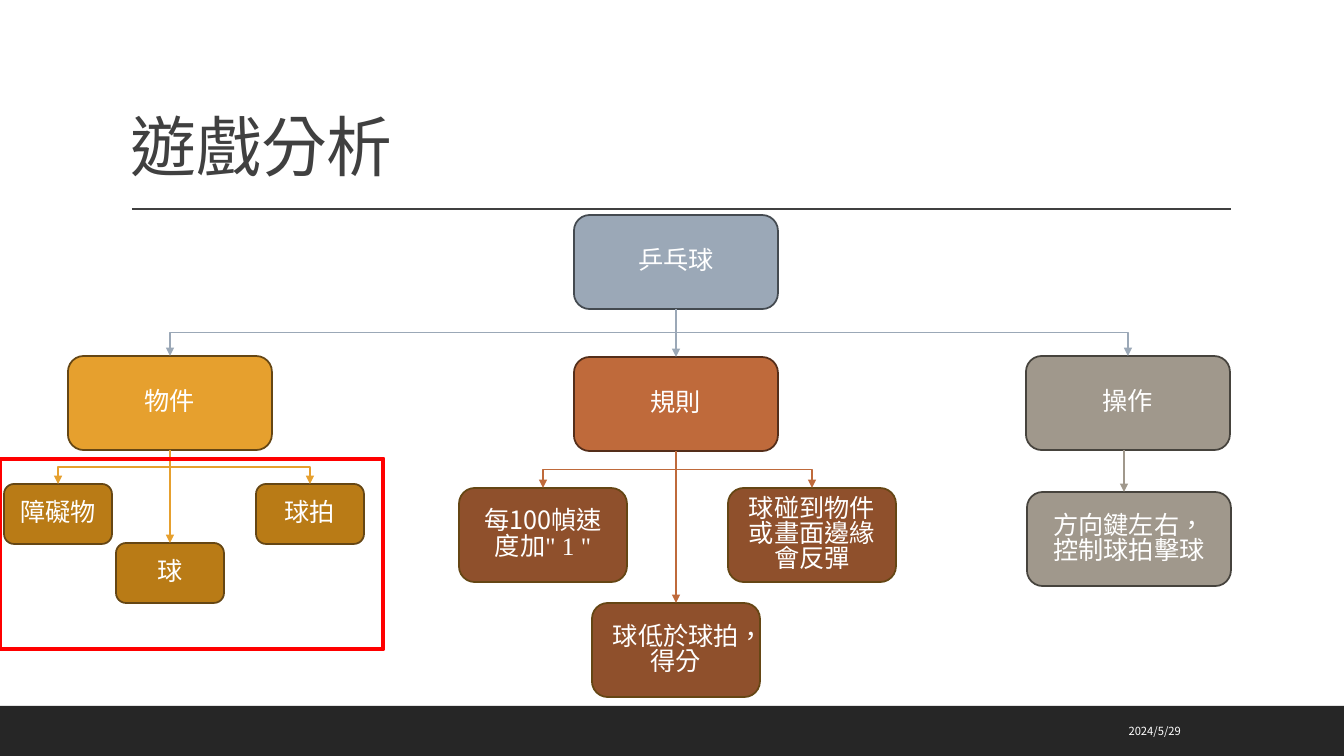
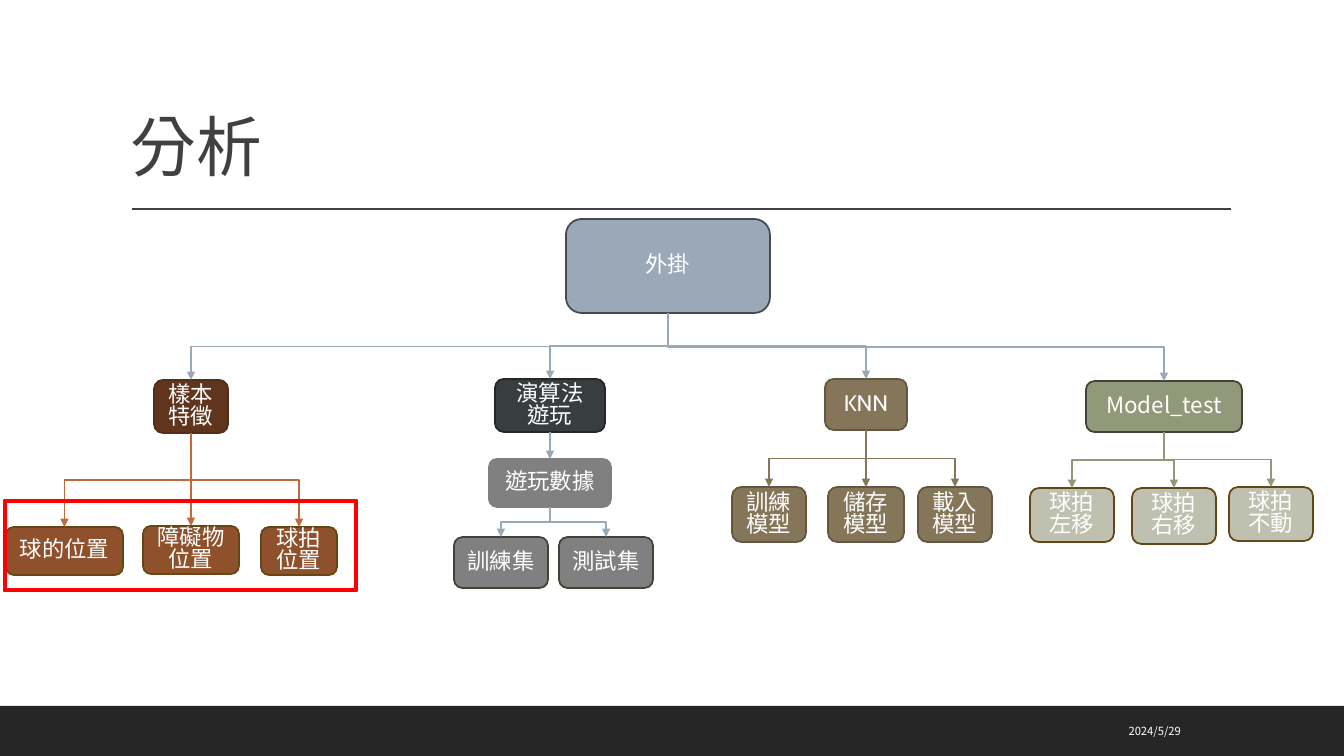
"""Build two slides of tree diagrams that analyse a ball game and its add-on."""
from dataclasses import dataclass
from typing import NamedTuple, Optional

from lxml import etree
from pptx import Presentation
from pptx.dml.color import RGBColor
from pptx.enum.shapes import MSO_CONNECTOR, MSO_SHAPE
from pptx.enum.text import MSO_ANCHOR, PP_ALIGN
from pptx.oxml.ns import qn
from pptx.shapes.autoshape import Shape
from pptx.shapes.connector import Connector
from pptx.slide import Slide
from pptx.util import Emu, Pt

RECTANGLE = MSO_SHAPE.RECTANGLE
ROUNDED = MSO_SHAPE.ROUNDED_RECTANGLE
FRAME = MSO_SHAPE.FRAME
STRAIGHT = MSO_CONNECTOR.STRAIGHT
ELBOW = MSO_CONNECTOR.ELBOW
CENTER = PP_ALIGN.CENTER
LEFT = PP_ALIGN.LEFT
RIGHT = PP_ALIGN.RIGHT
MIDDLE = MSO_ANCHOR.MIDDLE
BOTTOM = MSO_ANCHOR.BOTTOM
TOP_SIDE, BOTTOM_SIDE = 0, 2

PX_PER_INCH = 100.8
SLIDE_WIDTH, SLIDE_HEIGHT = 1344, 756
QUARTER_TURN = 5400000

SANS = "Noto Sans CJK SC"
SERIF = "Times New Roman"
CABIN = "Cabin"

WHITE = RGBColor(0xFF, 0xFF, 0xFF)
RED = RGBColor(0xFF, 0x00, 0x00)
BLACK = RGBColor(0x26, 0x26, 0x26)
CHARCOAL = RGBColor(0x40, 0x40, 0x40)
BLUE_GREY = RGBColor(0x9B, 0xA8, 0xB7)
BLUE_GREY_EDGE = RGBColor(0x44, 0x4A, 0x50)
AMBER = RGBColor(0xE6, 0xA0, 0x2E)
DARK_AMBER = RGBColor(0xB9, 0x7B, 0x16)
AMBER_EDGE = RGBColor(0x65, 0x46, 0x14)
RUST = RGBColor(0xBF, 0x6A, 0x3B)
DARK_RUST = RGBColor(0x8F, 0x50, 0x2C)
DEEP_RUST = RGBColor(0x60, 0x35, 0x1D)
RUST_EDGE = RGBColor(0x54, 0x2E, 0x1A)
STONE = RGBColor(0xA0, 0x98, 0x8C)
STONE_EDGE = RGBColor(0x46, 0x43, 0x3D)
SLATE = RGBColor(0x38, 0x3E, 0x40)
GREY = RGBColor(0x80, 0x80, 0x80)
SAGE = RGBColor(0x92, 0x98, 0x7A)
PALE_SAGE = RGBColor(0xBE, 0xC1, 0xAF)
SAGE_EDGE = RGBColor(0x40, 0x43, 0x35)
BROWN = RGBColor(0x85, 0x76, 0x59)
BROWN_EDGE = RGBColor(0x62, 0x57, 0x42)


class Area(NamedTuple):
    left: int
    top: int
    width: int
    height: int


class Look(NamedTuple):
    fill: RGBColor
    edge: RGBColor
    font: str = SANS


@dataclass(frozen=True)
class Node:
    text: str
    area: Area
    look: Look
    link: RGBColor = BLUE_GREY
    children: tuple["Node", ...] = ()
    serif_text: str = ""
    arrow_x: Optional[int] = None


@dataclass(frozen=True)
class Diagram:
    title: str
    size: int
    root: Node
    highlight: Area


ROOT = Look(BLUE_GREY, BLUE_GREY_EDGE)
OBJECT = Look(AMBER, AMBER_EDGE)
OBJECT_ITEM = Look(DARK_AMBER, AMBER_EDGE)
RULE = Look(RUST, RUST_EDGE)
RULE_ITEM = Look(DARK_RUST, AMBER_EDGE)
CONTROL = Look(STONE, STONE_EDGE)
FEATURE = Look(DEEP_RUST, RUST_EDGE)
ALGORITHM = Look(SLATE, BLACK)
DATA = Look(GREY, GREY)
DATA_SET = Look(GREY, SAGE_EDGE)
MODEL = Look(BROWN, BROWN_EDGE, CABIN)
TEST = Look(SAGE, SAGE_EDGE)
TEST_MOVE = Look(PALE_SAGE, AMBER_EDGE)

TITLE_AREA = Area(121, 31, 1109, 160)
DATE_AREA = Area(906, 711, 285, 40)
BAND_AREA = Area(0, 706, SLIDE_WIDTH, 50)
RULE_LEFT, RULE_RIGHT, RULE_Y = 132, 1231, 209


def large(left: int, top: int) -> Area:
    return Area(left, top, 204, 94)


def medium(left: int, top: int) -> Area:
    return Area(left, top, 168, 94)


def small(left: int, top: int) -> Area:
    return Area(left, top, 108, 60)


DIAGRAMS = (
    Diagram("遊戲分析", 18, Node("乒乓球", large(574, 215), ROOT, children=(
        Node("物件", large(68, 356), OBJECT, AMBER, (
            Node("障礙物", small(4, 484), OBJECT_ITEM),
            Node("球拍", small(256, 484), OBJECT_ITEM),
            Node("球", small(116, 543), OBJECT_ITEM),
        )),
        Node("規則", large(574, 357), RULE, RUST, (
            Node("每100幀速度加", medium(459, 488), RULE_ITEM, serif_text="\" 1 \""),
            Node("球低於球拍，\n得分", medium(592, 603), RULE_ITEM),
            Node("球碰到物件或畫面邊緣會反彈", medium(728, 488), RULE_ITEM),
        )),
        Node("操作", large(1026, 356), CONTROL, STONE, (
            Node("方向鍵左右，\n控制球拍擊球", large(1027, 492), CONTROL, arrow_x=1124),
        )),
    )), Area(0, 459, 383, 190)),
    Diagram("分析", 16, Node("外掛", large(566, 219), ROOT, children=(
        Node("樣本\n特徵", Area(154, 380, 74, 53), FEATURE, RUST, (
            Node("球的位置", Area(6, 527, 117, 48), RULE_ITEM),
            Node("障礙物\n位置", Area(143, 526, 96, 48), RULE_ITEM),
            Node("球拍\n位置", Area(261, 527, 76, 48), RULE_ITEM),
        )),
        Node("演算法遊玩", Area(495, 379, 110, 53), ALGORITHM, children=(
            Node("遊玩數據", Area(489, 459, 122, 48), DATA, children=(
                Node("訓練集", Area(454, 537, 94, 51), DATA_SET),
                Node("測試集", Area(559, 537, 94, 51), DATA_SET),
            )),
        )),
        Node("KNN", Area(825, 379, 82, 51), MODEL, BROWN, (
            Node("訓練\n模型", Area(732, 487, 74, 55), MODEL),
            Node("儲存\n模型", Area(828, 487, 76, 55), MODEL),
            Node("載入\n模型", Area(918, 487, 74, 55), MODEL),
        )),
        Node("Model_test", Area(1086, 381, 156, 51), TEST, SAGE, (
            Node("球拍\n左移", Area(1030, 488, 84, 54), TEST_MOVE),
            Node("球拍\n右移", Area(1132, 488, 84, 56), TEST_MOVE),
            Node("球拍\n不動", Area(1229, 487, 84, 54), TEST_MOVE),
        )),
    )), Area(5, 501, 351, 89)),
)


def px(length: int) -> Emu:
    return Emu(round(length * 914400 / PX_PER_INCH))


def emu(area: Area) -> list[Emu]:
    return [px(length) for length in area]


def apply_format(target: object, values: dict) -> None:
    for name, value in values.items():
        setattr(target, name, value)


def write(shape: Shape, lines: list[list[tuple[str, str]]], size: int, color: RGBColor,
          align: PP_ALIGN, anchor: MSO_ANCHOR, line_spacing: float, spacing: int = 0) -> None:
    frame = shape.text_frame
    apply_format(frame, {"word_wrap": True, "vertical_anchor": anchor})
    for index, line in enumerate(lines):
        paragraph = frame.add_paragraph() if index else frame.paragraphs[0]
        apply_format(paragraph, {"alignment": align, "line_spacing": line_spacing})
        for text, font_name in line:
            run = paragraph.add_run()
            run.text = text
            apply_format(run.font, {"size": Pt(size), "name": font_name})
            run.font.color.rgb = color
            properties = run._r.get_or_add_rPr()
            properties.set("lang", "zh-TW")
            if spacing:
                properties.set("spc", str(spacing))
            etree.SubElement(properties, qn("a:ea")).set("typeface", SANS)


def add_block(slide: Slide, kind: MSO_SHAPE, area: Area, fill: RGBColor,
              edge: Optional[RGBColor] = None, weight: float = 1.25) -> Shape:
    shape = slide.shapes.add_shape(kind, *emu(area))
    shape.shadow.inherit = False
    shape.fill.solid()
    shape.fill.fore_color.rgb = fill
    if edge is None:
        shape.line.fill.background()
    else:
        shape.line.color.rgb = edge
        shape.line.width = Pt(weight)
    return shape


def style_line(connector: Connector, color: RGBColor, arrow: bool = True) -> None:
    connector.line.color.rgb = color
    connector.line.width = Pt(1)
    properties = connector.element.spPr
    if arrow:
        etree.SubElement(properties.find(qn("a:ln")), qn("a:tailEnd")).set("type", "triangle")
    etree.SubElement(properties, qn("a:effectLst"))


def add_link(slide: Slide, parent: Shape, child: Shape, color: RGBColor,
             arrow_x: Optional[int]) -> None:
    start_x, end_x = (shape.left + shape.width // 2 for shape in (parent, child))
    if arrow_x is not None:
        start_x = end_x = px(arrow_x)
    start_y, end_y = parent.top + parent.height, child.top
    across, down = end_x - start_x, end_y - start_y
    bent = abs(across) > px(1)
    connector = slide.shapes.add_connector(
        ELBOW if bent else STRAIGHT, start_x, start_y, end_x, end_y)
    if arrow_x is None:
        connector.begin_connect(parent, BOTTOM_SIDE)
        connector.end_connect(child, TOP_SIDE)
    if bent:
        span = abs(across)
        apply_format(connector, {
            "left": Emu((start_x + end_x - down) // 2),
            "top": Emu((start_y + end_y - span) // 2),
            "width": Emu(down),
            "height": Emu(span),
        })
        rightward = across > 0
        transform = connector.element.spPr.find(qn("a:xfrm"))
        transform.set("rot", str(QUARTER_TURN * (3 if rightward else 1)))
        transform.set("flipH", str(int(rightward)))
        transform.set("flipV", "0")
    style_line(connector, color)


def add_tree(slide: Slide, node: Node, size: int) -> Shape:
    shape = add_block(slide, ROUNDED, node.area, node.look.fill, node.look.edge)
    lines = [[(text, node.look.font)] for text in node.text.split("\n")]
    if node.serif_text:
        lines[-1].append((node.serif_text, SERIF))
    write(shape, lines, size, WHITE, CENTER, MIDDLE, 0.83)
    for child in node.children:
        add_link(slide, shape, add_tree(slide, child, size), node.link, child.arrow_x)
    return shape


def add_base(slide: Slide, title: str) -> None:
    add_block(slide, RECTANGLE, BAND_AREA, BLACK)
    rule = slide.shapes.add_connector(
        STRAIGHT, px(RULE_LEFT), px(RULE_Y), px(RULE_RIGHT), px(RULE_Y))
    style_line(rule, CHARCOAL, arrow=False)
    title_box = slide.shapes.add_textbox(*emu(TITLE_AREA))
    write(title_box, [[(title, SANS)]], 47, CHARCOAL, LEFT, BOTTOM, 0.9, -50)
    date_box = slide.shapes.add_textbox(*emu(DATE_AREA))
    write(date_box, [[("2024/5/29", SANS)]], 8, WHITE, RIGHT, MIDDLE, 1.0)


def main() -> None:
    presentation = Presentation()
    apply_format(presentation, {"slide_width": px(SLIDE_WIDTH), "slide_height": px(SLIDE_HEIGHT)})
    for diagram in DIAGRAMS:
        slide = presentation.slides.add_slide(presentation.slide_layouts[6])
        add_base(slide, diagram.title)
        add_tree(slide, diagram.root, diagram.size)
        highlight = add_block(slide, FRAME, diagram.highlight, RED, RED, 3)
        highlight.adjustments[0] = 0
    presentation.save("out.pptx")


if __name__ == "__main__":
    main()
